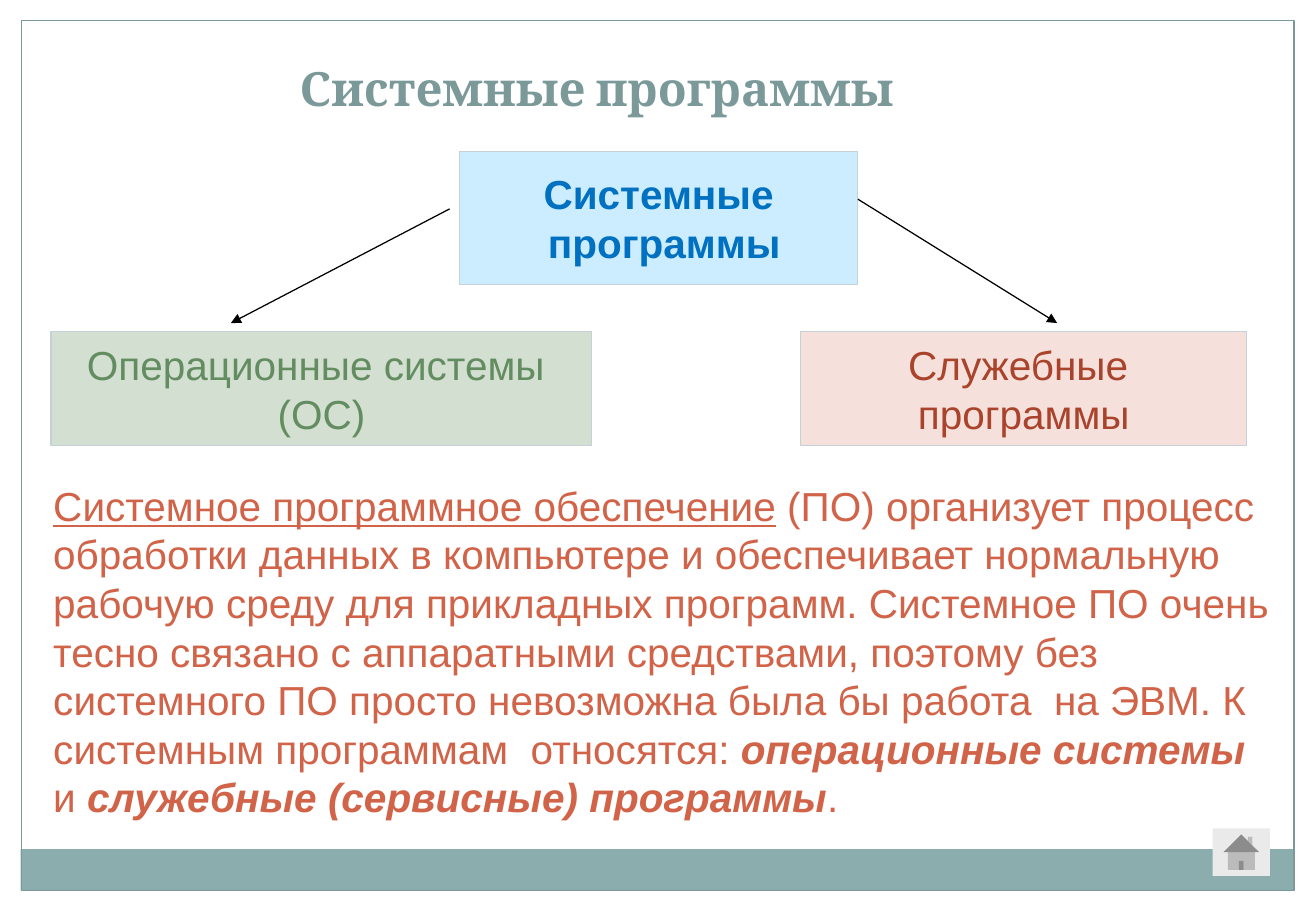
from dataclasses import dataclass
from lxml.etree import SubElement
from pptx import Presentation
from pptx.dml.color import RGBColor
from pptx.enum.shapes import MSO_CONNECTOR, MSO_SHAPE
from pptx.enum.text import MSO_ANCHOR, PP_ALIGN
from pptx.oxml.ns import qn
from pptx.util import Inches, Pt


@dataclass(frozen=True)
class Theme:
    """Colours, fonts and type sizes of the slide."""
    band: str = "8CADAE"
    accent: str = "7C999A"
    box_line: str = "C5D1D7"
    arrow: str = "000000"
    button: str = "EAEAEA"
    body: str = "D16349"
    system: tuple = ("CCECFF", "0070C0")
    operating: tuple = ("D2DFD1", "648C61")
    service: tuple = ("F6E0DB", "A9432B")
    title_font: str = "Cambria"
    body_font: str = "Arial"
    title_size: int = 28
    body_size: int = 24
    line_width: float = 0.75


THEME = Theme()


def rgb(value):
    """Turn a hex string into a colour."""
    return RGBColor.from_string(value)


def add_run(p, text, color, font=THEME.body_font, size=THEME.body_size,
            bold=False, italic=False, underline=False):
    """Append one formatted run to a paragraph."""
    r = p.add_run()
    r.text = text
    r.font.name = font
    r.font.size = Pt(size)
    r.font.color.rgb = rgb(color)
    r.font.bold = bold
    r.font.italic = italic
    r.font.underline = underline


def add_panel(s, at, fill=None, line=None, kind=MSO_SHAPE.RECTANGLE):
    """Add a preset shape with an optional fill and outline."""
    sp = s.shapes.add_shape(kind, *map(Inches, at))
    sp.shadow.inherit = False
    if fill:
        sp.fill.solid()
        sp.fill.fore_color.rgb = rgb(fill)
    else:
        sp.fill.background()
    if line:
        sp.line.color.rgb = rgb(line)
        sp.line.width = Pt(THEME.line_width)
    else:
        sp.line.fill.background()
    return sp


def add_box(s, at, lines, colors, bold=False):
    """Add a diagram box with one centred paragraph per line."""
    fill, color = colors
    tf = add_panel(s, at, fill, THEME.box_line).text_frame
    tf.word_wrap = False
    tf.vertical_anchor = MSO_ANCHOR.MIDDLE
    for i, text in enumerate(lines):
        p = tf.paragraphs[0] if i == 0 else tf.add_paragraph()
        p.alignment = PP_ALIGN.CENTER
        add_run(p, text, color, bold=bold)


def add_arrow(s, start, end):
    """Add a straight line with an arrowhead at its end."""
    sp = s.shapes.add_connector(MSO_CONNECTOR.STRAIGHT, *map(Inches, start + end))
    sp.line.color.rgb = rgb(THEME.arrow)
    sp.line.width = Pt(THEME.line_width)
    SubElement(sp.line._get_or_add_ln(), qn("a:tailEnd"), type="triangle")
    SubElement(sp._element.spPr, qn("a:effectLst"))


def add_text(s, at, anchor=MSO_ANCHOR.TOP):
    """Add a wrapping text box and return its first paragraph."""
    tf = s.shapes.add_textbox(*map(Inches, at)).text_frame
    tf.word_wrap = True
    tf.vertical_anchor = anchor
    return tf.paragraphs[0]


def add_title(s, text):
    """Add the centred slide title."""
    p = add_text(s, (0.42, 0.21, 8.98, 0.79), MSO_ANCHOR.BOTTOM)
    p.alignment = PP_ALIGN.CENTER
    add_run(p, text, THEME.accent, THEME.title_font, THEME.title_size, bold=True)


def add_description(s):
    """Add the paragraph that explains system software."""
    p = add_text(s, (0.34, 3.91, 10.23, 2.93))
    strong = {"bold": True, "italic": True}
    runs = [
        ("Системное программное обеспечение", {"underline": True}),
        (" (ПО) организует процесс обработки данных в компьютере и обеспечивает "
         "нормальную рабочую среду для прикладных программ. Системное ПО очень "
         "тесно связано с аппаратными средствами, поэтому без системного ПО просто "
         "невозможна была бы работа  на ЭВМ. К системным программам  относятся: ", {}),
        ("операционные системы", strong),
        (" и ", {}),
        ("служебные (сервисные) программы", strong),
        (".", {}),
    ]
    for text, style in runs:
        add_run(p, text, THEME.body, **style)


def main():
    """Build the slide and save it."""
    prs = Presentation()
    prs.slide_width, prs.slide_height = Inches(10.83), Inches(7.5)
    s = prs.slides.add_slide(prs.slide_layouts[6])
    add_panel(s, (0.17, 6.99, 10.47, 0.34), fill=THEME.band)
    add_panel(s, (0.18, 0.17, 10.47, 7.16), line=THEME.accent)
    add_title(s, "Системные программы")
    add_box(s, (3.78, 1.25, 3.28, 1.09), ["Системные", " программы"],
            THEME.system, bold=True)
    add_box(s, (6.59, 2.73, 3.67, 0.94), ["Служебные ", "программы"], THEME.service)
    add_box(s, (0.42, 2.73, 4.45, 0.94), ["Операционные системы ", "(ОС)"],
            THEME.operating)
    add_arrow(s, (3.7, 1.72), (1.9, 2.66))
    add_arrow(s, (7.06, 1.64), (8.7, 2.66))
    add_description(s)
    add_panel(s, (9.98, 6.82, 0.47, 0.39), fill=THEME.button,
              kind=MSO_SHAPE.ACTION_BUTTON_HOME)
    prs.save("out.pptx")


if __name__ == "__main__":
    main()
